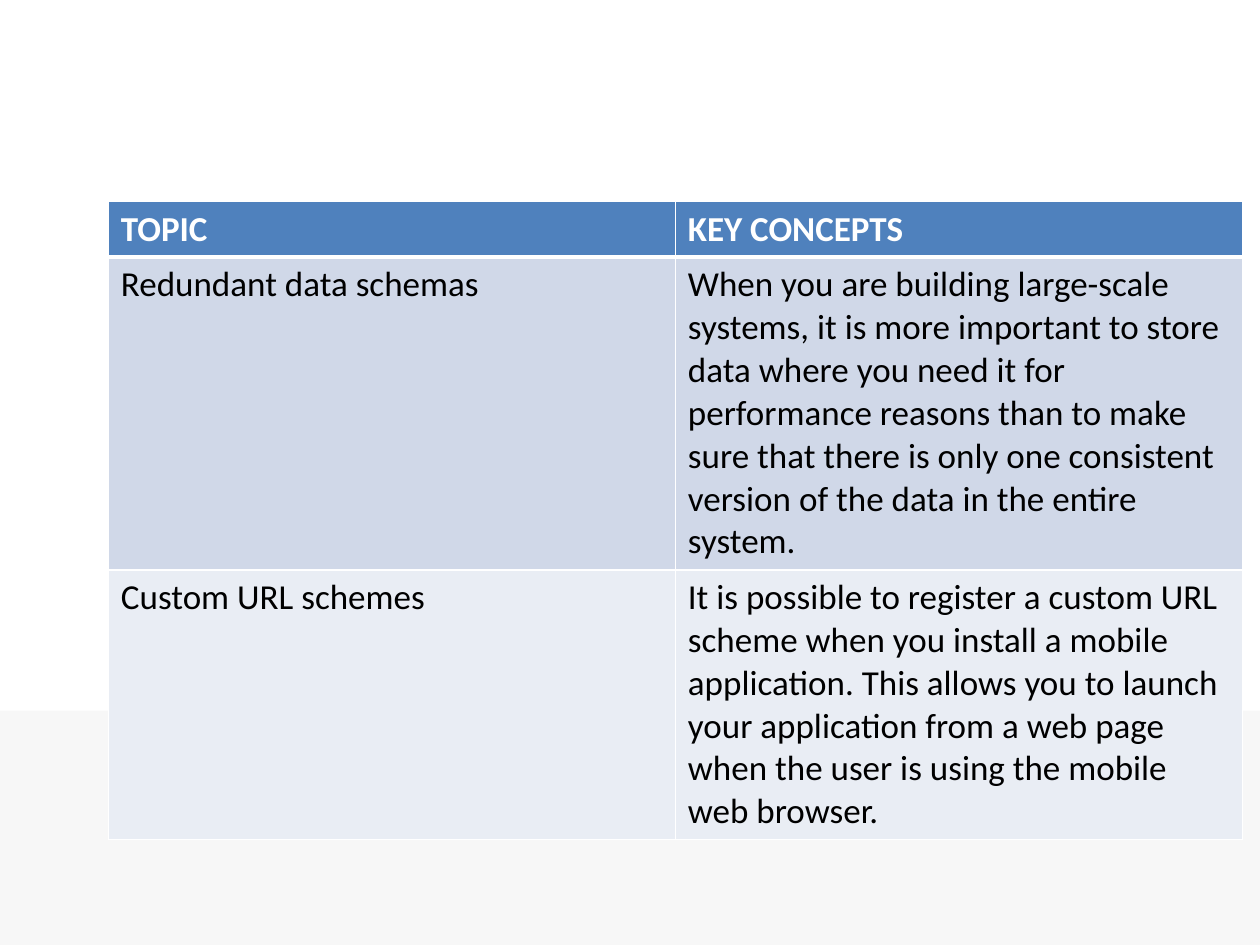
from dataclasses import dataclass

from lxml.etree import SubElement
from pptx import Presentation
from pptx.dml.color import RGBColor
from pptx.enum.shapes import MSO_SHAPE
from pptx.oxml.ns import qn
from pptx.util import Inches, Pt


@dataclass(frozen=True)
class Theme:
    font: str = "Calibri"
    text_size: int = 20
    white: str = "FFFFFF"
    black: str = "000000"
    footer: str = "F7F7F7"
    header: str = "4F81BD"
    bands: tuple = ("D0D8E8", "E9EDF4")


theme = Theme()


def add_border(cell, side, width, color):
    line = SubElement(cell._tc.get_or_add_tcPr(), qn(f"a:ln{side}"), w=str(Pt(width)))
    fill = SubElement(line, qn("a:solidFill"))
    SubElement(fill, qn("a:srgbClr"), val=color)


presentation = Presentation()
presentation.slide_width = Inches(10)
presentation.slide_height = Inches(7.5)
slide = presentation.slides.add_slide(presentation.slide_layouts[6])

# Background and footer band
slide.background.fill.solid()
slide.background.fill.fore_color.rgb = RGBColor.from_string(theme.white)
footer = slide.shapes.add_shape(
    MSO_SHAPE.RECTANGLE, Inches(0), Inches(5.64), Inches(10), Inches(1.86)
)
footer.shadow.inherit = False
footer.fill.solid()
footer.fill.fore_color.rgb = RGBColor.from_string(theme.footer)
footer.line.fill.background()

# Topic table; body rows grow to fit their text
rows = [
    ("TOPIC", "KEY CONCEPTS"),
    (
        "Redundant data schemas",
        "When you are building large-scale systems, it is more important to store "
        "data where you need it for performance reasons than to make sure that there "
        "is only one consistent version of the data in the entire system.",
    ),
    (
        "Custom URL schemes",
        "It is possible to register a custom URL scheme when you install a mobile "
        "application. This allows you to launch your application from a web page "
        "when the user is using the mobile web browser.",
    ),
]
row_height = Inches(0.41)
table = slide.shapes.add_table(
    len(rows), 2, Inches(0.86), Inches(1.6), Inches(9), row_height * len(rows)
).table

for row_index, texts in enumerate(rows):
    table.rows[row_index].height = row_height
    is_header = row_index == 0
    fill_color = theme.header if is_header else theme.bands[(row_index - 1) % 2]
    for column_index, text in enumerate(texts):
        cell = table.cell(row_index, column_index)
        for side in "LRTB":
            header_edge = (is_header and side == "B") or (row_index == 1 and side == "T")
            add_border(cell, side, 3 if header_edge else 1, theme.white)
        cell.fill.solid()
        cell.fill.fore_color.rgb = RGBColor.from_string(fill_color)
        run = cell.text_frame.paragraphs[0].add_run()
        run.text = text
        run.font.name = theme.font
        run.font.size = Pt(theme.text_size)
        run.font.bold = is_header
        run.font.color.rgb = RGBColor.from_string(theme.white if is_header else theme.black)

presentation.save("out.pptx")
